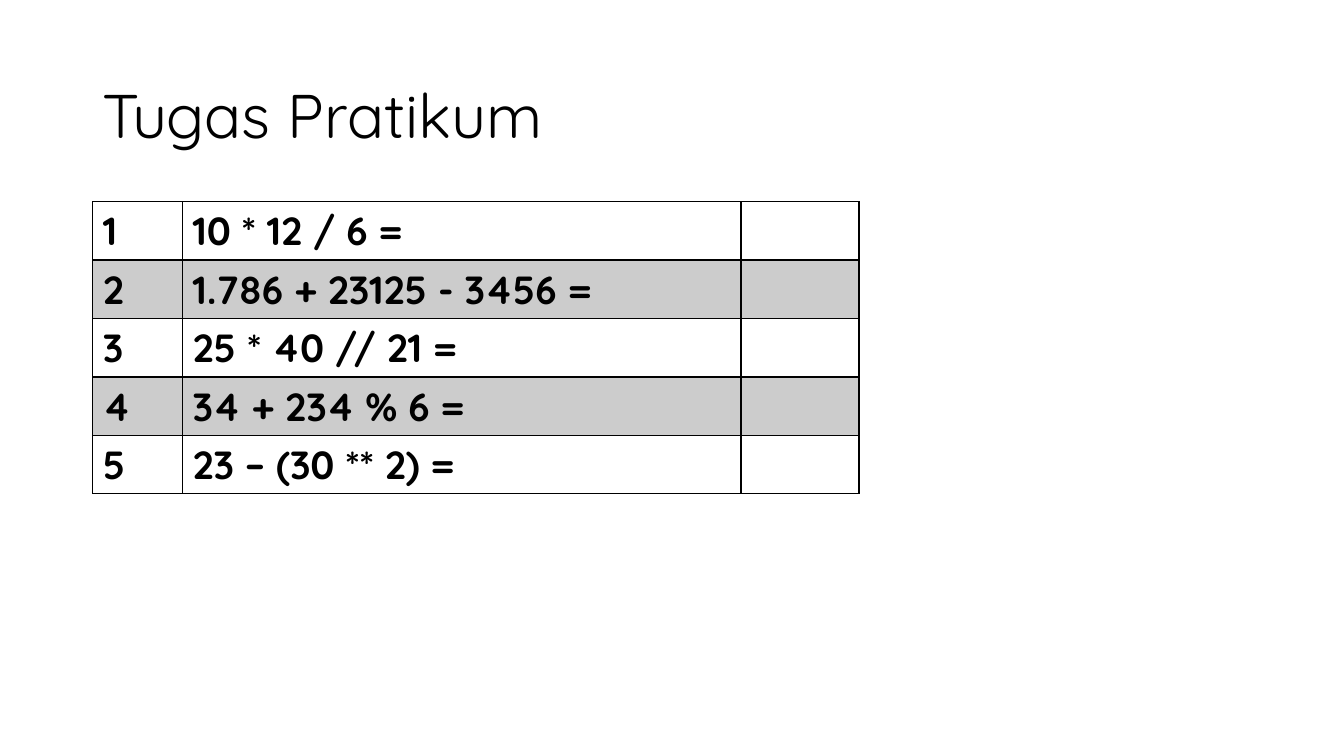
from lxml.etree import SubElement
from pptx import Presentation
from pptx.dml.color import RGBColor
from pptx.enum.text import MSO_ANCHOR
from pptx.oxml.ns import qn
from pptx.util import Inches, Pt

BLACK = RGBColor(0x00, 0x00, 0x00)
FONT = "Quicksand"
TITLE_FORMAT = {"name": FONT, "size": Pt(44), "bold": False}
EXERCISE_FORMAT = {"name": FONT, "size": Pt(28), "bold": True}


def write(paragraph, text, font_format):
    run = paragraph.add_run()
    run.text = text
    for attribute, value in font_format.items():
        setattr(run.font, attribute, value)
    run.font.color.rgb = BLACK


def add_borders(cell):
    properties = cell._tc.get_or_add_tcPr()
    for side in ("a:lnL", "a:lnR", "a:lnT", "a:lnB"):
        border = SubElement(properties, qn(side), w=str(Pt(1)))
        color = SubElement(SubElement(border, qn("a:solidFill")), qn("a:srgbClr"))
        color.set("val", str(BLACK))


presentation = Presentation()
presentation.slide_width = Inches(13.33)
presentation.slide_height = Inches(7.5)
slide = presentation.slides.add_slide(presentation.slide_layouts[6])

# Title
title = slide.shapes.add_textbox(Inches(0.92), Inches(0.4), Inches(11.5), Inches(1.45))
title.text_frame.word_wrap = True
title.text_frame.vertical_anchor = MSO_ANCHOR.MIDDLE
write(title.text_frame.paragraphs[0], "Tugas Pratikum", TITLE_FORMAT)

# Exercises: number, expression and an empty answer
expressions = [
    "10 * 12 / 6 =",
    "1.786 + 23125 - 3456 =",
    "25 * 40 // 21 =",
    "34 + 234 % 6 =",
    "23 – (30 ** 2) =",
]
column_widths = [0.89, 5.54, 1.17]
row_height = 0.58
exercises = slide.shapes.add_table(
    len(expressions), len(column_widths), Inches(0.92), Inches(2),
    Inches(sum(column_widths)), Inches(row_height * len(expressions)),
).table
exercises.first_row = False
exercises.horz_banding = False
for column, width in zip(exercises.columns, column_widths):
    column.width = Inches(width)

for number, expression in enumerate(expressions, start=1):
    row = exercises.rows[number - 1]
    row.height = Inches(row_height)
    for cell, text in zip(row.cells, (str(number), expression, "")):
        add_borders(cell)
        # Every second row is shaded with 20 % black
        if number % 2 == 0:
            cell.fill.solid()
            cell.fill.fore_color.rgb = BLACK
            shade = cell._tc.tcPr.find(qn("a:solidFill")).find(qn("a:srgbClr"))
            SubElement(shade, qn("a:alpha"), val="20000")
        else:
            cell.fill.background()
        if text:
            write(cell.text_frame.paragraphs[0], text, EXERCISE_FORMAT)

presentation.save("out.pptx")
